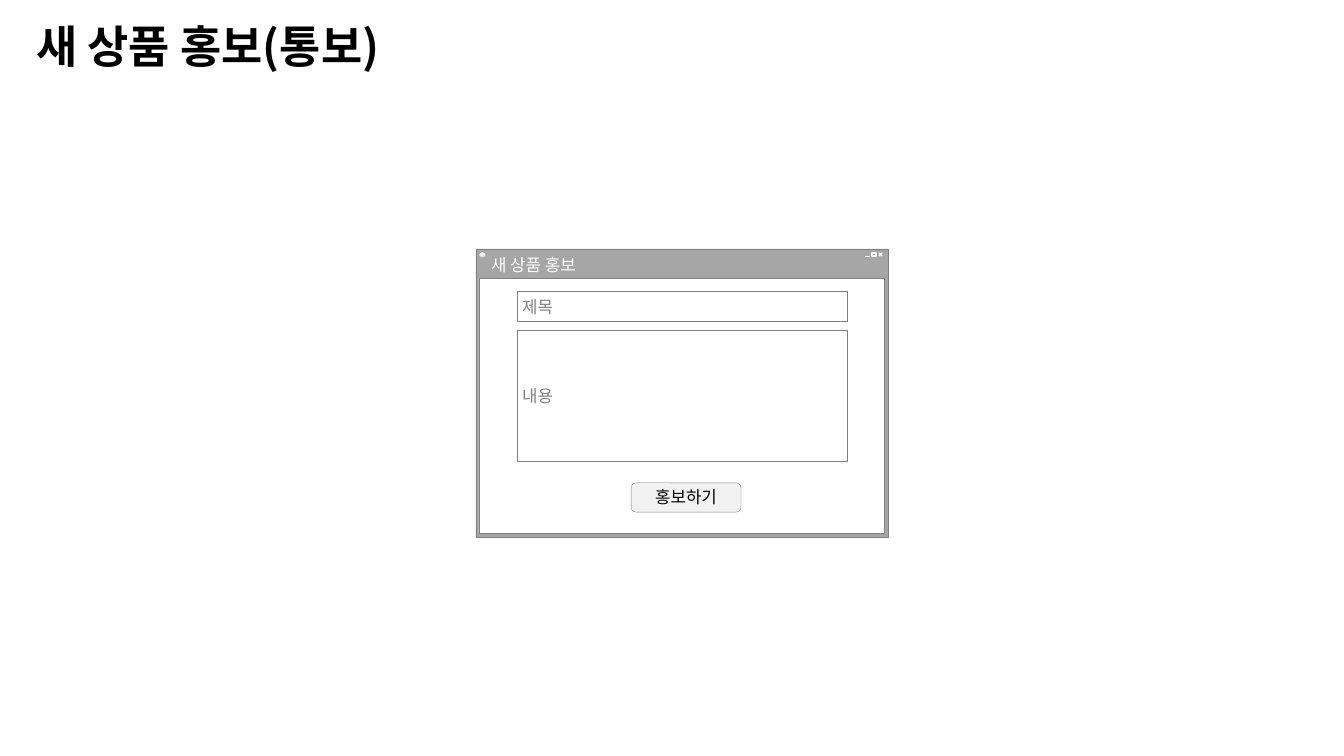
import copy

import pptx
import pptx.dml.color
import pptx.enum.shapes
import pptx.enum.text
import pptx.oxml
import pptx.oxml.ns
import pptx.util

COLORS = {
    "black": "000000",
    "white": "FFFFFF",
    "frame": "A6A6A6",
    "outline": "808080",
    "glyph": "919191",
    "button": "F2F2F2",
    "shade": "D9D9D9",
}
SHAPES = pptx.enum.shapes.MSO_SHAPE
ALIGN = pptx.enum.text.PP_ALIGN
ANCHOR = pptx.enum.text.MSO_ANCHOR


def rgb(name):
    return pptx.dml.color.RGBColor.from_string(COLORS[name])


class Wireframe:
    cell = pptx.util.Inches(0.1)
    title_font = "Noto Sans CJK KR"
    body_font = "Cabin"

    def __init__(self, prs):
        self.slide = prs.slides.add_slide(prs.slide_layouts[6])

    def grid(self, *cells):
        return [round(n * self.cell) for n in cells]

    def outline(self, sp, color, width):
        sp.line.color.rgb = rgb(color)
        sp.line.width = pptx.util.Pt(width)

    def box(self, at, fill="white", line="outline", width=0.25, kind=SHAPES.RECTANGLE):
        sp = self.slide.shapes.add_shape(kind, *self.grid(*at))
        sp.shadow.inherit = False
        if fill:
            sp.fill.solid()
            sp.fill.fore_color.rgb = rgb(fill)
        else:
            sp.fill.background()
        self.outline(sp, line, width)
        return sp

    def set_text(self, sp, text, color, size=12, font=body_font, bold=False,
                 align=ALIGN.LEFT, anchor=ANCHOR.MIDDLE, insets=(0.5, 0.2, 0.5, 0.2), wrap=False):
        tf = sp.text_frame
        tf.text = text
        tf.word_wrap = wrap
        tf.vertical_anchor = anchor
        tf.margin_left, tf.margin_top, tf.margin_right, tf.margin_bottom = self.grid(*insets)
        p = tf.paragraphs[0]
        p.alignment = align
        r = p.runs[0]
        r.font.name = font
        r.font.size = pptx.util.Pt(size)
        r.font.bold = bold
        r.font.color.rgb = rgb(color)
        ea = pptx.oxml.parse_xml(
            f'<a:ea {pptx.oxml.ns.nsdecls("a")} typeface="{font}"/>')
        r.font._element.find(pptx.oxml.ns.qn("a:latin")).addnext(ea)

    def label(self, at, text, color, **style):
        sp = self.slide.shapes.add_textbox(*self.grid(*at))
        self.set_text(sp, text, color, **style)

    def field(self, top, height, text):
        self.set_text(self.box((51.3, top, 32.7, height)), text, "outline")

    def button(self, at, text):
        sp = self.box(at, fill="button", kind=SHAPES.ROUNDED_RECTANGLE)
        self.set_text(sp, text, "black", align=ALIGN.CENTER, insets=(1, 0, 1, 0.1), wrap=True)

    def stroke(self, ends):
        sp = self.slide.shapes.add_connector(
            pptx.enum.shapes.MSO_CONNECTOR.STRAIGHT, *self.grid(*ends))
        self.outline(sp, "white", 1)
        sp._element.spPr.append(
            pptx.oxml.parse_xml(f'<a:effectLst {pptx.oxml.ns.nsdecls("a")}/>'))

    def window_icon(self, at):
        sp = self.box(at, kind=SHAPES.OVAL)
        sp.fill.gradient()
        sp.fill.gradient_angle = 270
        last = sp._element.spPr.find(".//" + pptx.oxml.ns.qn("a:gsLst"))[-1]
        last.addnext(copy.deepcopy(last))
        stops = ((0.36, "button"), (0.91, "shade"), (1, "button"))
        for stop, (position, color) in zip(sp.fill.gradient_stops, stops):
            stop.position = position
            stop.color.rgb = rgb(color)

    def window(self, title):
        self.box((47.2, 24.7, 40.9, 28.6), fill="frame")
        self.box((47.5, 27.6, 40.2, 25.3))
        self.label((48.2, 24.9, 10.8, 2.8), title, "white", insets=(0.5, 0.2, 1, 0.3))
        left, top, size = 87.2, 25.1, 0.3
        for start, end in ((top, top + size), (top + size, top)):
            self.stroke((left, start, left + size, end))
        self.box((86.5, top, 0.4, 0), fill="glyph", line="white")
        self.box((86.5, top, 0.4, size), fill=None, line="white", width=1)
        self.box((85.8, top + size, 0.4, 0), fill="glyph", line="white")
        self.window_icon((47.5, 25, 0.7, 0.6))


def main():
    prs = pptx.Presentation()
    prs.slide_width = pptx.util.Inches(13.33)
    prs.slide_height = pptx.util.Inches(7.5)
    s = Wireframe(prs)
    s.label((2.6, 1.4, 39.8, 6.4), "새 상품 홍보(통보)", "black", size=32,
            font=s.title_font, bold=True, anchor=ANCHOR.TOP, insets=(1, 0.5, 1, 0.5))
    s.window("새 상품 홍보")
    s.field(32.8, 13, "내용")
    s.button((62.6, 47.9, 10.9, 2.9), "홍보하기")
    s.field(28.9, 3, "제목")
    prs.save("out.pptx")


if __name__ == "__main__":
    main()
